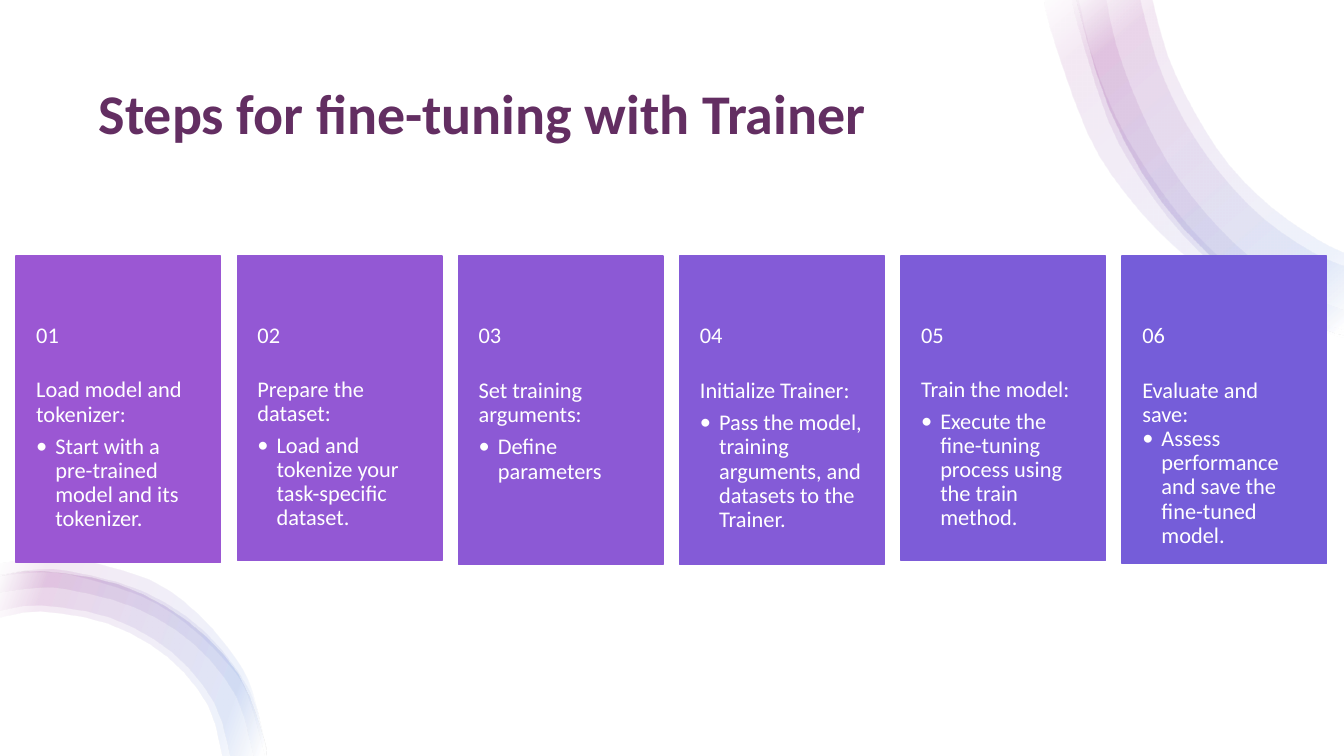
from dataclasses import dataclass

from pptx import Presentation
from pptx.dml.color import RGBColor
from pptx.enum.shapes import MSO_SHAPE
from pptx.enum.text import MSO_ANCHOR, PP_ALIGN
from pptx.oxml import parse_xml
from pptx.oxml.ns import nsdecls, qn
from pptx.util import Inches, Pt


@dataclass(frozen=True)
class Theme:
    font: str = "Calibri"
    title_size: int = 40
    card_size: int = 16
    background: str = "FFFFFF"
    title: str = "632E62"
    card_text: str = "FFFFFF"
    cards: tuple = ("9B57D3", "9358D4", "8C59D5", "845BD7", "7D5CD8", "755DD9")
    ribbon_stops: tuple = ((2, "FFFFFF"), (16, "5982DB"), (85, "92278F"), (100, "FFFFFF"))
    ribbon_opacity: int = 10


# Ribbon edges in inches: each ribbon runs along its outer edge and back along its inner edge
UPPER_OUTER = [(10.67, -0.09), (10.69, 0.04), (11, 1.07), (11.52, 2), (12.24, 2.74),
               (13.09, 3.24), (13.33, 3.32)]
UPPER_RIBBONS = [
    ([(10.36, -0.09), (10.41, 0.26), (10.78, 1.31), (11.16, 1.92), (11.65, 2.45),
      (12.21, 2.87), (12.82, 3.19), (13.33, 3.35)],
     [(13.33, 3.28), (12.86, 3.1), (12.3, 2.73), (11.81, 2.27), (11.4, 1.73),
      (11.06, 1.15), (10.82, 0.52), (10.68, -0.09)]),
    (UPPER_OUTER,
     [(13.33, 2.51), (13.07, 2.38), (12.61, 2.06), (12.19, 1.64), (11.85, 1.12),
      (11.58, 0.55), (11.41, -0.09)]),
    ([(10.63, -0.09), (10.68, 0.2), (10.99, 1.19), (11.32, 1.79), (11.73, 2.33),
      (12.23, 2.79), (12.79, 3.14), (13.33, 3.33)],
     [(13.33, 3.08), (12.9, 2.9), (12.39, 2.55), (11.95, 2.11), (11.58, 1.61),
      (11.29, 1.04), (11.07, 0.44), (10.96, -0.09)]),
    (UPPER_OUTER,
     [(13.33, 2.64), (13.01, 2.5), (12.53, 2.17), (12.1, 1.72), (11.74, 1.19),
      (11.47, 0.59), (11.29, -0.09)]),
]
LOWER_OUTER = [(0, 5.72), (0.4, 5.67), (1.17, 5.8), (1.85, 6.16), (2.36, 6.69),
               (2.62, 7.35), (2.63, 7.5)]
LOWER_RIBBONS = [
    (LOWER_OUTER,
     [(2.2, 7.5), (2.06, 7), (1.66, 6.52), (1.07, 6.19), (0.4, 6.07), (0, 6.13)]),
    (LOWER_OUTER,
     [(2.28, 7.5), (2.12, 6.97), (1.7, 6.47), (1.09, 6.13), (0.4, 6.01), (0, 6.06)]),
    ([(0, 5.71), (0.31, 5.66), (0.69, 5.67), (1.42, 5.87), (2.03, 6.27), (2.47, 6.85),
      (2.62, 7.36), (2.63, 7.5)],
     [(2.51, 7.5), (2.34, 6.91), (1.92, 6.39), (1.34, 6.03), (0.67, 5.85), (0.33, 5.84),
      (0, 5.88)]),
    ([(0, 5.59), (0.51, 5.52), (0.71, 5.53), (1.48, 5.75), (1.96, 6.09), (2.33, 6.53),
      (2.5, 6.87), (2.64, 7.5)],
     [(2.62, 7.5), (2.45, 6.89), (2.25, 6.58), (1.86, 6.2), (1.39, 5.91), (0.69, 5.7),
      (0.32, 5.68), (0, 5.72)]),
]

# Card height, heading, space after the heading in points, bullet
STEPS = [
    (3.04, "Load model and tokenizer:", 5.6, "Start with a pre-trained model and its tokenizer."),
    (3.02, "Prepare the dataset:", 5.6, "Load and tokenize your task-specific dataset."),
    (3.06, "Set training arguments:", 5.6, "Define parameters"),
    (3.06, "Initialize Trainer:", 5.6,
     "Pass the model, training arguments, and datasets to the Trainer."),
    (3.02, "Train the model:", 5.6, "Execute the fine-tuning process using the train method."),
    (3.05, "Evaluate and save:", 0, "Assess performance and save the fine-tuned model."),
]
SLIDE_WIDTH, SLIDE_HEIGHT = 13.33, 7.5
CARD_LEFT, CARD_TOP, CARD_WIDTH = 0.16, 2.54, 2.03
CARD_PITCH = (11.13 - CARD_LEFT) / (len(STEPS) - 1)
UNITS_PER_INCH = 1000


def smooth(points, pieces=3):
    """Return points along a Catmull-Rom curve through the given points."""
    padded = [points[0], *points, points[-1]]
    curve = []
    for a, b, c, d in zip(padded, padded[1:], padded[2:], padded[3:]):
        for t in (piece / pieces for piece in range(pieces)):
            curve.append(tuple(
                (2 * q + (r - p) * t + (2 * p - 5 * q + 4 * r - s) * t ** 2
                 + (3 * q - p - 3 * r + s) * t ** 3) / 2
                for p, q, r, s in zip(a, b, c, d)))
    return curve + [points[-1]]


class SlideBuilder:
    def __init__(self, slide, theme):
        self.slide = slide
        self.theme = theme

    def format_paragraph(self, paragraph, size, color, bold=False, space_after=0):
        paragraph.alignment = PP_ALIGN.LEFT
        paragraph.line_spacing = 0.9
        paragraph.space_before = Pt(0)
        paragraph.space_after = Pt(space_after)
        for run in paragraph.runs:
            run.font.name = self.theme.font
            run.font.size = Pt(size)
            run.font.bold = bold
            run.font.color.rgb = RGBColor.from_string(color)

    def backdrop(self):
        shape = self.panel(0, 0, SLIDE_WIDTH, SLIDE_HEIGHT, self.theme.background)
        shape.line.fill.background()
        self.slide.shapes.title.element.addprevious(shape.element)

    def title(self, text, left, top, width, height):
        shape = self.slide.shapes.title
        shape.left, shape.top = Inches(left), Inches(top)
        shape.width, shape.height = Inches(width), Inches(height)
        shape.text_frame.text = text
        shape.text_frame.vertical_anchor = MSO_ANCHOR.MIDDLE
        self.format_paragraph(shape.text_frame.paragraphs[0], self.theme.title_size,
                              self.theme.title, bold=True)

    def ribbon(self, outer, inner, angle):
        start, *rest = [(round(x * UNITS_PER_INCH), round(y * UNITS_PER_INCH))
                        for x, y in smooth(outer) + smooth(inner)]
        builder = self.slide.shapes.build_freeform(*start, scale=Inches(1) / UNITS_PER_INCH)
        builder.add_line_segments(rest, close=True)
        shape = builder.convert_to_shape()
        shape.shadow.inherit = False
        shape.line.fill.background()
        shape.fill.gradient()
        shape.fill.gradient_angle = 360 - angle
        stops = "".join(
            f'<a:gs pos="{position * 1000}"><a:srgbClr val="{color}">'
            f'<a:alpha val="{self.theme.ribbon_opacity * 1000}"/></a:srgbClr></a:gs>'
            for position, color in self.theme.ribbon_stops)
        gradient = shape.element.spPr.find(qn("a:gradFill"))
        gradient.replace(gradient.find(qn("a:gsLst")),
                         parse_xml(f'<a:gsLst {nsdecls("a")}>{stops}</a:gsLst>'))

    def panel(self, left, top, width, height, color):
        shape = self.slide.shapes.add_shape(MSO_SHAPE.RECTANGLE, Inches(left), Inches(top),
                                            Inches(width), Inches(height))
        shape.shadow.inherit = False
        shape.fill.solid()
        shape.fill.fore_color.rgb = RGBColor.from_string(color)
        shape.line.color.rgb = RGBColor.from_string(color)
        shape.line.width = Pt(1)
        return shape

    def text_box(self, left, top, width, height, text, anchor, margins, space_after):
        shape = self.slide.shapes.add_textbox(Inches(left), Inches(top),
                                              Inches(width), Inches(height))
        frame = shape.text_frame
        frame.word_wrap = True
        frame.vertical_anchor = anchor
        frame.margin_left = frame.margin_right = Inches(0.2)
        frame.margin_top, frame.margin_bottom = map(Inches, margins)
        frame.text = text
        self.format_paragraph(frame.paragraphs[0], self.theme.card_size,
                              self.theme.card_text, space_after=space_after)
        return frame

    def bullet(self, frame, text):
        paragraph = frame.add_paragraph()
        paragraph.text = text
        paragraph.level = 1
        properties = paragraph._p.get_or_add_pPr()
        properties.set("marL", str(Inches(0.19)))
        properties.set("indent", str(-Inches(0.19)))
        for tag in (f'buFont {nsdecls("a")} typeface="{self.theme.font}"',
                    f'buChar {nsdecls("a")} char="•"'):
            properties.append(parse_xml(f"<a:{tag}/>"))
        self.format_paragraph(paragraph, self.theme.card_size, self.theme.card_text,
                              space_after=2.4)

    def card(self, number, left, height, color, heading, space_after, detail):
        self.panel(left, CARD_TOP, CARD_WIDTH, height, color)
        frame = self.text_box(left, CARD_TOP + 0.4 * height, CARD_WIDTH, 0.6 * height,
                              heading, MSO_ANCHOR.TOP, (0, 0.36), space_after)
        self.bullet(frame, detail)
        self.text_box(left, CARD_TOP + 0.1 * height, CARD_WIDTH, 0.98,
                      f"{number:02}", MSO_ANCHOR.MIDDLE, (0.18, 0.18), 5.6)


def main():
    presentation = Presentation()
    presentation.slide_width = Inches(SLIDE_WIDTH)
    presentation.slide_height = Inches(SLIDE_HEIGHT)
    theme = Theme()
    builder = SlideBuilder(presentation.slides.add_slide(presentation.slide_layouts[5]), theme)

    # Backdrop and title
    builder.backdrop()
    builder.title("Steps for fine-tuning with Trainer", 0.88, 0.5, 11.57, 1.3)

    # Corner ribbons
    for ribbons, angle in ((UPPER_RIBBONS, 230), (LOWER_RIBBONS, 200)):
        for outer, inner in ribbons:
            builder.ribbon(outer, inner, angle)

    # Step cards
    for index, (color, (height, *content)) in enumerate(zip(theme.cards, STEPS)):
        builder.card(index + 1, CARD_LEFT + index * CARD_PITCH, height, color, *content)

    presentation.save("out.pptx")


if __name__ == "__main__":
    main()
